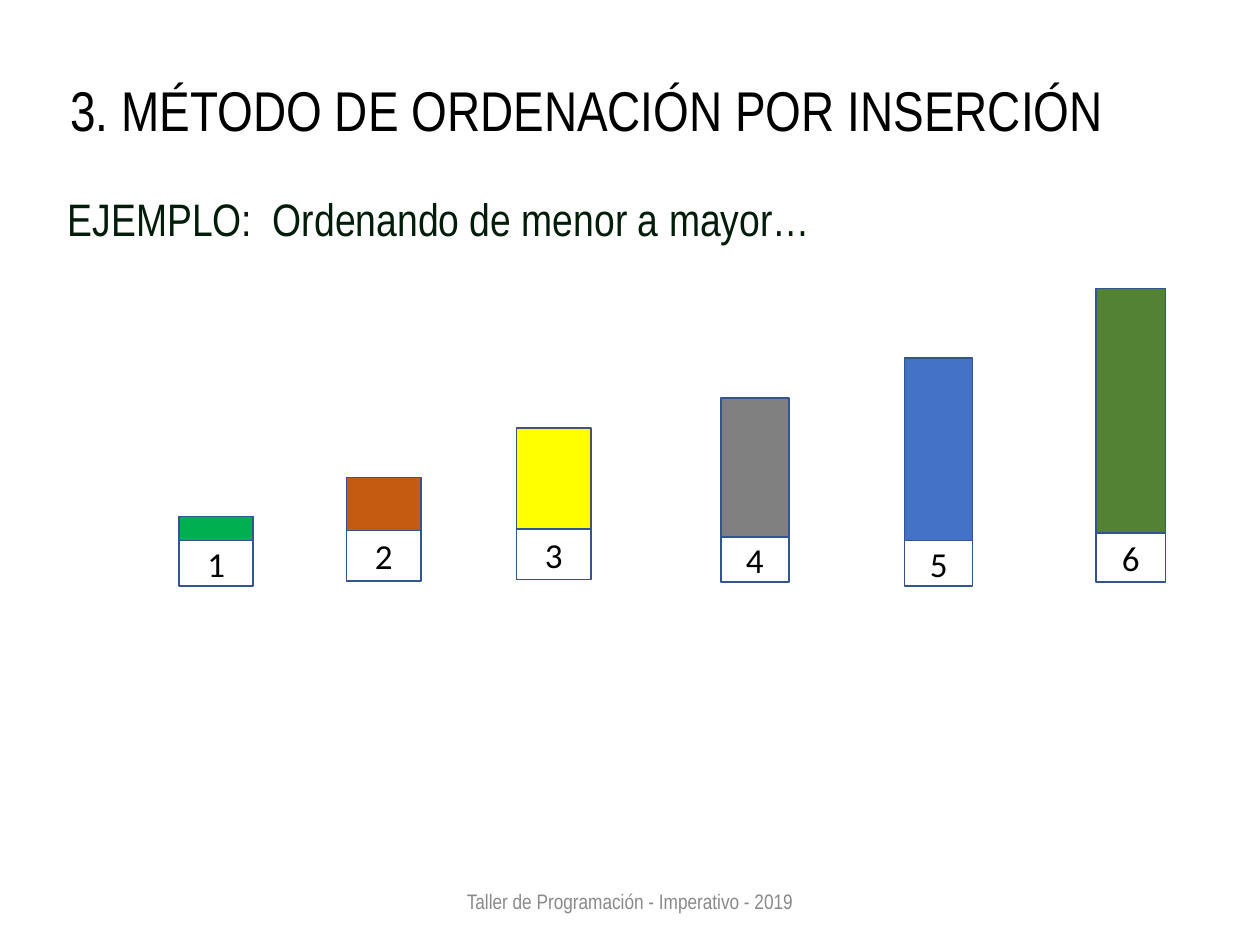
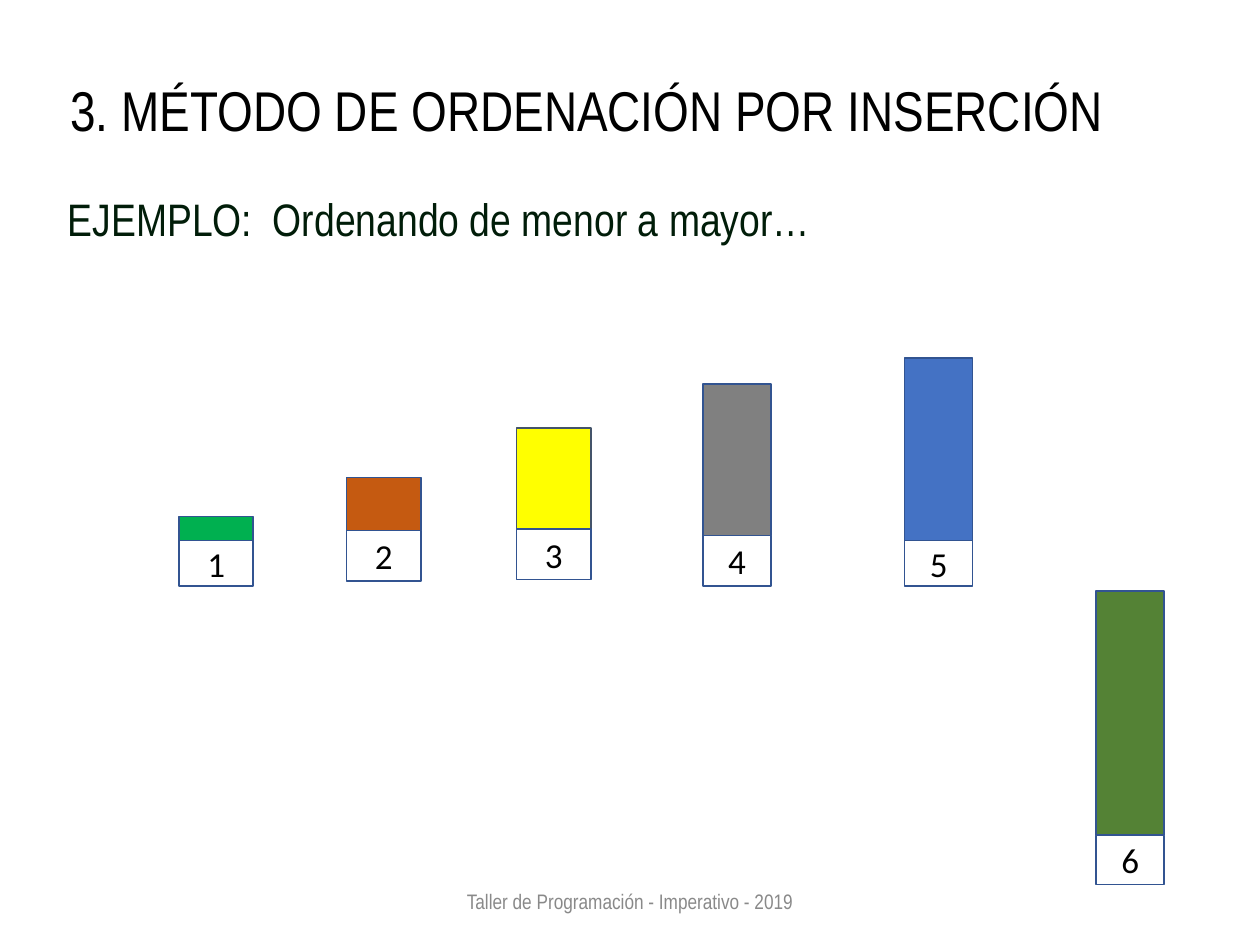
from dataclasses import dataclass
from pptx import Presentation
from pptx.dml.color import RGBColor
from pptx.enum.shapes import MSO_SHAPE
from pptx.enum.text import MSO_ANCHOR, PP_ALIGN
from pptx.util import Inches, Pt

RECT = MSO_SHAPE.RECTANGLE
LEFT, CENTER = PP_ALIGN.LEFT, PP_ALIGN.CENTER
TOP, MIDDLE, BOTTOM = MSO_ANCHOR.TOP, MSO_ANCHOR.MIDDLE, MSO_ANCHOR.BOTTOM

# Content: each text with its box, style name, alignment and anchor
TEXTS = [
    ("3. MÉTODO DE ORDENACIÓN POR INSERCIÓN", (0.35, 0.36, 8.62, 0.83), "title", CENTER, BOTTOM),
    ("EJEMPLO:  Ordenando de menor a mayor…", (0.44, 1.47, 6.54, 0.54), "lead", LEFT, TOP),
    ("Taller de Programación - Imperativo - 2019", (3.31, 6.95, 3.38, 0.4), "foot", CENTER, MIDDLE),
]

# Bars by value: left, top, width, bar height, label height
BASE = {
    1: (1.42, 4.1, 0.59, 0.19, 0.36),
    2: (2.75, 3.79, 0.59, 0.42, 0.4),
    3: (4.1, 3.4, 0.59, 0.8, 0.4),
    5: (7.18, 2.84, 0.54, 1.45, 0.36),
}
SLIDES = [
    BASE | {4: (5.72, 3.16, 0.54, 1.1, 0.36), 6: (8.7, 2.29, 0.55, 1.94, 0.39)},
    BASE | {4: (5.58, 3.05, 0.54, 1.2, 0.4), 6: (8.7, 4.69, 0.54, 1.94, 0.39)},
]


@dataclass(frozen=True)
class Theme:
    edge: str = "325491"
    width: float = 1
    # Style: font, size, colour
    title: tuple = ("Arial Narrow", 32, "000000")
    lead: tuple = ("Arial Narrow", 26, "011D09")
    foot: tuple = ("Arial Narrow", 12, "898989")
    label: tuple = ("Calibri", 20, "000000")
    # Bar fills by value, and the edges that differ
    fills: tuple = ("00B050", "C55A11", "FFFF00", "808080", "4472C4", "548235")
    edges: tuple = ((3, "44546A"),)


THEME = Theme()


def color(code):
    return RGBColor.from_string(code)


def write(shape, text, style, align, anchor):
    frame = shape.text_frame
    frame.word_wrap = True
    frame.vertical_anchor = anchor
    para = frame.paragraphs[0]
    para.alignment = align
    if style == "title":
        para.line_spacing = 0.9
    run = para.add_run()
    run.text = text
    name, size, code = getattr(THEME, style)
    run.font.name, run.font.size = name, Pt(size)
    run.font.color.rgb = color(code)


def add_rect(group, box, edge, fill=None):
    rect = group.shapes.add_shape(RECT, *map(Inches, box))
    rect.shadow.inherit = False
    if fill:
        rect.fill.solid()
        rect.fill.fore_color.rgb = color(fill)
    else:
        rect.fill.background()
    rect.line.color.rgb = color(edge)
    rect.line.width = Pt(THEME.width)
    return rect


def add_bar(slide, value, spot):
    left, top, width, high, foot = spot
    group = slide.shapes.add_group_shape()
    edge = dict(THEME.edges).get(value, THEME.edge)
    add_rect(group, (left, top, width, high), edge, THEME.fills[value - 1])
    label = add_rect(group, (left, top + high, width, foot), THEME.edge)
    write(label, str(value), "label", CENTER, MIDDLE)


def main():
    deck = Presentation()
    deck.slide_width, deck.slide_height = Inches(10), Inches(7.5)
    for bars in SLIDES:
        slide = deck.slides.add_slide(deck.slide_layouts[6])
        # Bars in order of value
        for value, spot in sorted(bars.items()):
            add_bar(slide, value, spot)
        # Shared title, lead and footer
        for text, box, style, align, anchor in TEXTS:
            shape = slide.shapes.add_textbox(*map(Inches, box))
            write(shape, text, style, align, anchor)
    deck.save("out.pptx")


if __name__ == "__main__":
    main()
